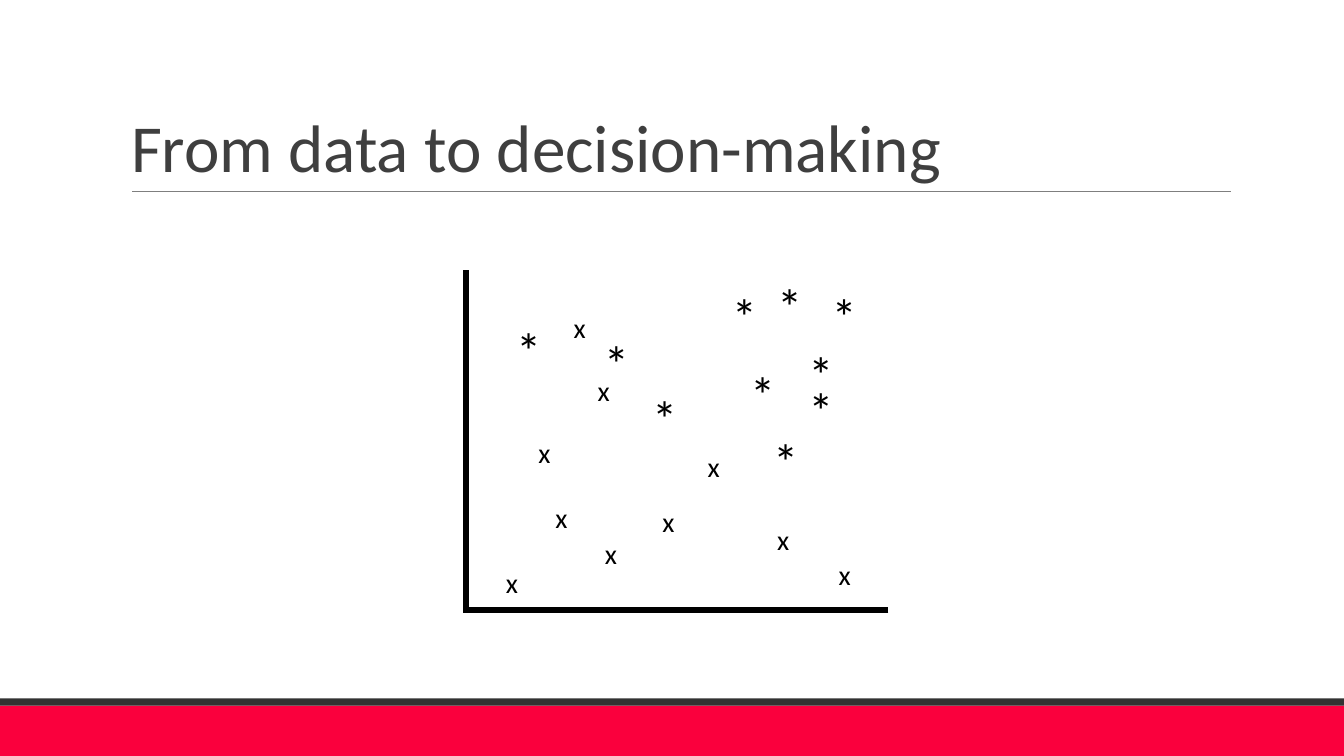
from lxml import etree
from pptx import Presentation
from pptx.dml.color import RGBColor
from pptx.enum.shapes import MSO_CONNECTOR, MSO_SHAPE
from pptx.enum.text import MSO_ANCHOR, MSO_AUTO_SIZE, PP_ALIGN
from pptx.oxml.ns import qn
from pptx.util import Inches, Pt

STRAIGHT = MSO_CONNECTOR.STRAIGHT
RECTANGLE = MSO_SHAPE.RECTANGLE
BOTTOM = MSO_ANCHOR.BOTTOM
FIT_SHAPE = MSO_AUTO_SIZE.SHAPE_TO_FIT_TEXT
LEFT = PP_ALIGN.LEFT

COLORS = {
    "band": "FA003D",
    "strip": "323232",
    "rule": "7F7F7F",
    "title": "3F3F3F",
    "plot": "000000",
}
STARS = [
    (7.61, 2.68), (7.92, 3.35), (7.16, 2.78), (7.34, 3.55), (7.92, 3.71),
    (8.15, 2.78), (5.02, 3.12), (5.89, 3.25), (7.57, 4.22), (6.37, 3.79),
]
CROSSES = [
    (5.24, 4.27), (5.41, 4.92), (5.9, 5.27), (5.59, 3.03), (8.22, 5.48),
    (7.61, 5.13), (4.92, 5.56), (6.92, 4.41), (6.47, 4.96), (5.83, 3.66),
]


class SlideBuilder:
    font_name = "Calibri"

    def __init__(self, page):
        self.page = page

    def color(self, name):
        return RGBColor.from_string(COLORS[name])

    def style(self, paragraph, size, color):
        paragraph.alignment = LEFT
        paragraph.font.name = self.font_name
        paragraph.font.size = Pt(size)
        paragraph.font.color.rgb = self.color(color)

    def bar(self, top, height, color):
        shape = self.page.shapes.add_shape(
            RECTANGLE, 0, Inches(top), Inches(13.33), Inches(height))
        shape.shadow.inherit = False
        shape.fill.solid()
        shape.fill.fore_color.rgb = self.color(color)
        shape.line.fill.background()

    def line(self, start, end, color, width):
        connector = self.page.shapes.add_connector(
            STRAIGHT, *(Inches(value) for value in start + end))
        connector.line.color.rgb = self.color(color)
        connector.line.width = Pt(width)
        etree.SubElement(connector._element.spPr, qn("a:effectLst"))

    def title(self, text):
        box = self.page.shapes.title
        box.left, box.top = Inches(1.2), Inches(0.31)
        box.width, box.height = Inches(11), Inches(1.59)
        frame = box.text_frame
        frame.text = text
        frame.vertical_anchor = BOTTOM
        paragraph = frame.paragraphs[0]
        paragraph.line_spacing = 0.85
        self.style(paragraph, 48, "title")

    def markers(self, symbol, points, size, width, height):
        for left, top in points:
            box = self.page.shapes.add_textbox(
                Inches(left), Inches(top), Inches(width), Inches(height))
            frame = box.text_frame
            frame.word_wrap = False
            frame.auto_size = FIT_SHAPE
            frame.text = symbol
            self.style(frame.paragraphs[0], size, "plot")


def main():
    deck = Presentation()
    deck.slide_width, deck.slide_height = Inches(13.33), Inches(7.5)
    builder = SlideBuilder(deck.slides.add_slide(deck.slide_layouts[5]))
    builder.bar(7, 0.5, "band")
    builder.bar(6.93, 0.07, "strip")
    builder.line((1.31, 1.9), (12.21, 1.9), "rule", 0.75)
    builder.title("From data to decision-making")
    builder.line((4.62, 2.68), (4.62, 6.02), "plot", 4.5)
    builder.line((8.81, 6.05), (4.59, 6.05), "plot", 4.5)
    builder.markers("*", STARS, 36, 0.45, 0.71)
    builder.markers("x", CROSSES, 20, 0.32, 0.44)
    deck.save("out.pptx")


if __name__ == "__main__":
    main()
